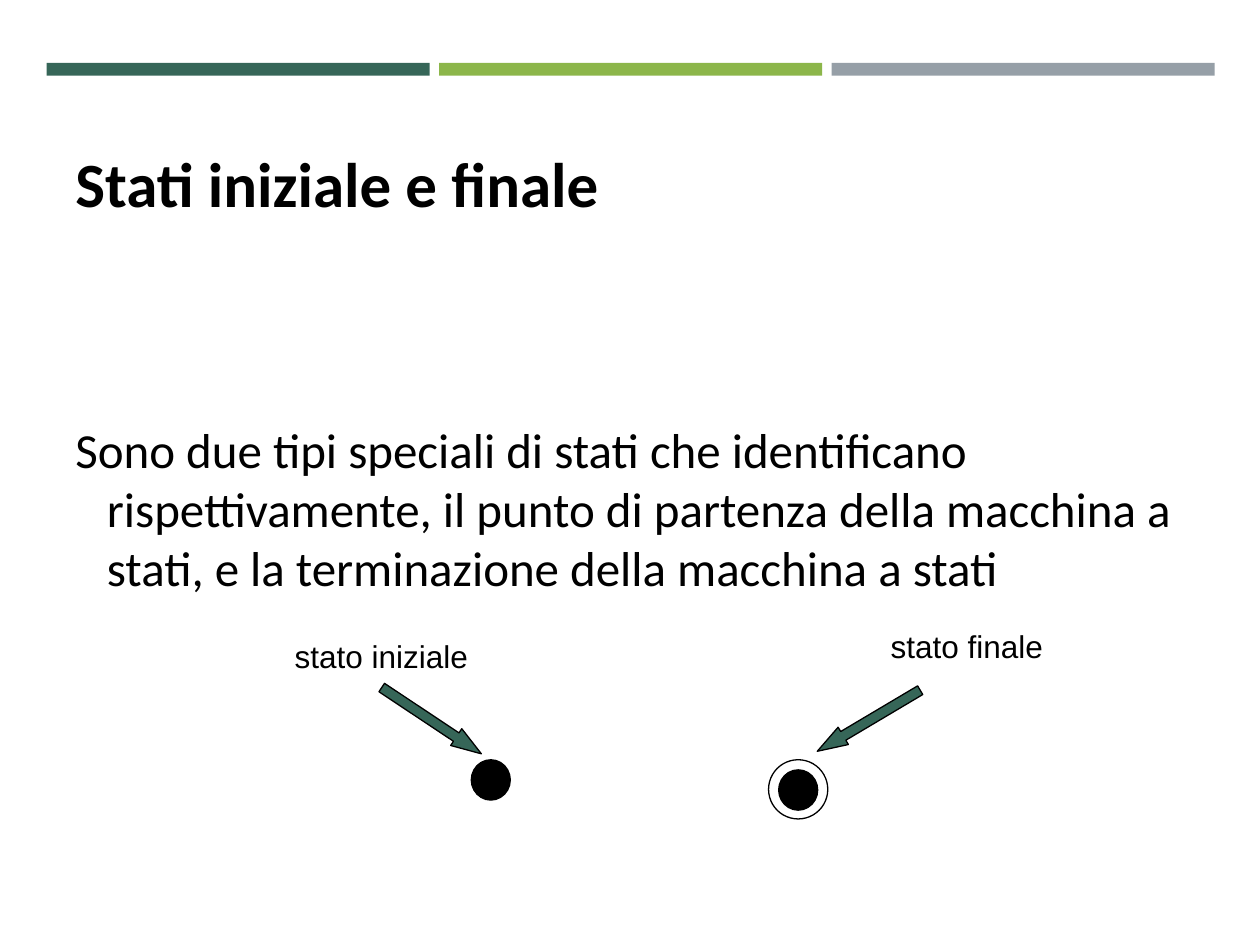
from dataclasses import dataclass

from pptx import Presentation
from pptx.dml.color import RGBColor
from pptx.enum.shapes import MSO_SHAPE
from pptx.enum.text import MSO_ANCHOR, PP_ALIGN
from pptx.util import Inches, Pt

CELL = Inches(0.1)
COLUMNS, ROWS = 100, 75
BLACK, GREEN, LIME, GREY = "000000", "366658", "8CB64A", "969FA7"


@dataclass(frozen=True)
class Area:
    """Place and size in grid columns and rows."""
    column: float
    row: float
    columns: float
    rows: float

    def lengths(self) -> tuple[int, ...]:
        """Return left, top, width and height as slide lengths."""
        return tuple(round(cells * CELL) for cells in (self.column, self.row, self.columns, self.rows))


@dataclass(frozen=True)
class Figure:
    """A preset outline with its fill, border and turn."""
    area: Area
    preset: MSO_SHAPE
    fill: str | None = None
    border: str | None = BLACK
    turn: float = 0
    adjustments: tuple[float, ...] = ()


@dataclass(frozen=True)
class Passage:
    """A piece of text with its font and placement."""
    area: Area
    wording: str
    font: str
    size: float
    bold: bool = False
    anchor: MSO_ANCHOR = MSO_ANCHOR.TOP
    line_spacing: float | None = None
    hanging: float = 0
    bottom_inset: float = 0.05


def colour(value: str) -> RGBColor:
    """Turn a hex string into a colour."""
    return RGBColor.from_string(value)


def draw_figure(slide, figure: Figure) -> None:
    """Draw one preset outline."""
    drawn = slide.shapes.add_shape(figure.preset, *figure.area.lengths())
    drawn.shadow.inherit = False
    drawn.rotation = figure.turn
    for position, share in enumerate(figure.adjustments):
        drawn.adjustments[position] = share
    if figure.fill:
        drawn.fill.solid()
        drawn.fill.fore_color.rgb = colour(figure.fill)
    else:
        drawn.fill.background()
    if figure.border:
        drawn.line.color.rgb = colour(figure.border)
        drawn.line.width = Pt(0.75)
    else:
        drawn.line.fill.background()


def draw_passage(slide, passage: Passage) -> None:
    """Write one piece of text."""
    frame = slide.shapes.add_textbox(*passage.area.lengths()).text_frame
    frame.word_wrap = True
    frame.vertical_anchor = passage.anchor
    frame.margin_bottom = Inches(passage.bottom_inset)
    frame.text = passage.wording
    paragraph = frame.paragraphs[0]
    paragraph.alignment = PP_ALIGN.LEFT
    if passage.line_spacing:
        paragraph.line_spacing = Pt(passage.line_spacing)
    if passage.hanging:
        indents = paragraph._p.get_or_add_pPr()
        indents.set("marL", str(Inches(passage.hanging)))
        indents.set("indent", str(-Inches(passage.hanging)))
    font = paragraph.runs[0].font
    font.name, font.size, font.bold = passage.font, Pt(passage.size), passage.bold
    font.color.rgb = colour(BLACK)


def header_bar(position: int, fill: str) -> Figure:
    """Describe one of the evenly spaced header bars."""
    return Figure(Area(3.7 + 31.15 * position, 5, 30.4, 1), MSO_SHAPE.RECTANGLE, fill, None)


def state_disc(column: float, row: float) -> Figure:
    """Describe the filled disc of a state."""
    return Figure(Area(column, row, 3.1, 3.2), MSO_SHAPE.OVAL, BLACK)


def pointer(column: float, turn: float) -> Figure:
    """Describe an arrow leading from a label to its state."""
    return Figure(Area(column, 56.4, 9.5, 1.6), MSO_SHAPE.RIGHT_ARROW, GREEN, BLACK, turn, (0.5, 1.5))


def state_label(column: float, row: float, wording: str) -> Passage:
    """Describe the name of a state."""
    return Passage(Area(column, row, 17.3, 4), wording, "Arial", 18)


FIGURES = [
    *(header_bar(position, fill) for position, fill in enumerate((GREEN, LIME, GREY))),
    state_disc(37.4, 60.3),
    state_disc(61.8, 61.1),
    Figure(Area(61, 60.3, 4.7, 4.7), MSO_SHAPE.OVAL),
    pointer(29.5, 33.6),
    pointer(64.2, 149.3),
]

PASSAGES = [
    Passage(Area(5, 4.7, 89.5, 13.3), "Stati iniziale e finale", "Calibri", 36,
            bold=True, anchor=MSO_ANCHOR.BOTTOM, line_spacing=39),
    Passage(Area(5, 19, 89.5, 47.4),
            "Sono due tipi speciali di stati che identificano rispettivamente, "
            "il punto di partenza della macchina a stati, "
            "e la terminazione della macchina a stati",
            "Calibri", 28, anchor=MSO_ANCHOR.MIDDLE, hanging=0.25, bottom_inset=0.53),
    state_label(22.4, 50.1, "stato iniziale"),
    state_label(69.7, 49.3, "stato finale"),
]


def main() -> None:
    """Build and save the slide."""
    deck = Presentation()
    deck.slide_width, deck.slide_height = COLUMNS * CELL, ROWS * CELL
    slide = deck.slides.add_slide(deck.slide_layouts[6])
    for figure in FIGURES:
        draw_figure(slide, figure)
    for passage in PASSAGES:
        draw_passage(slide, passage)
    deck.save("out.pptx")


if __name__ == "__main__":
    main()
